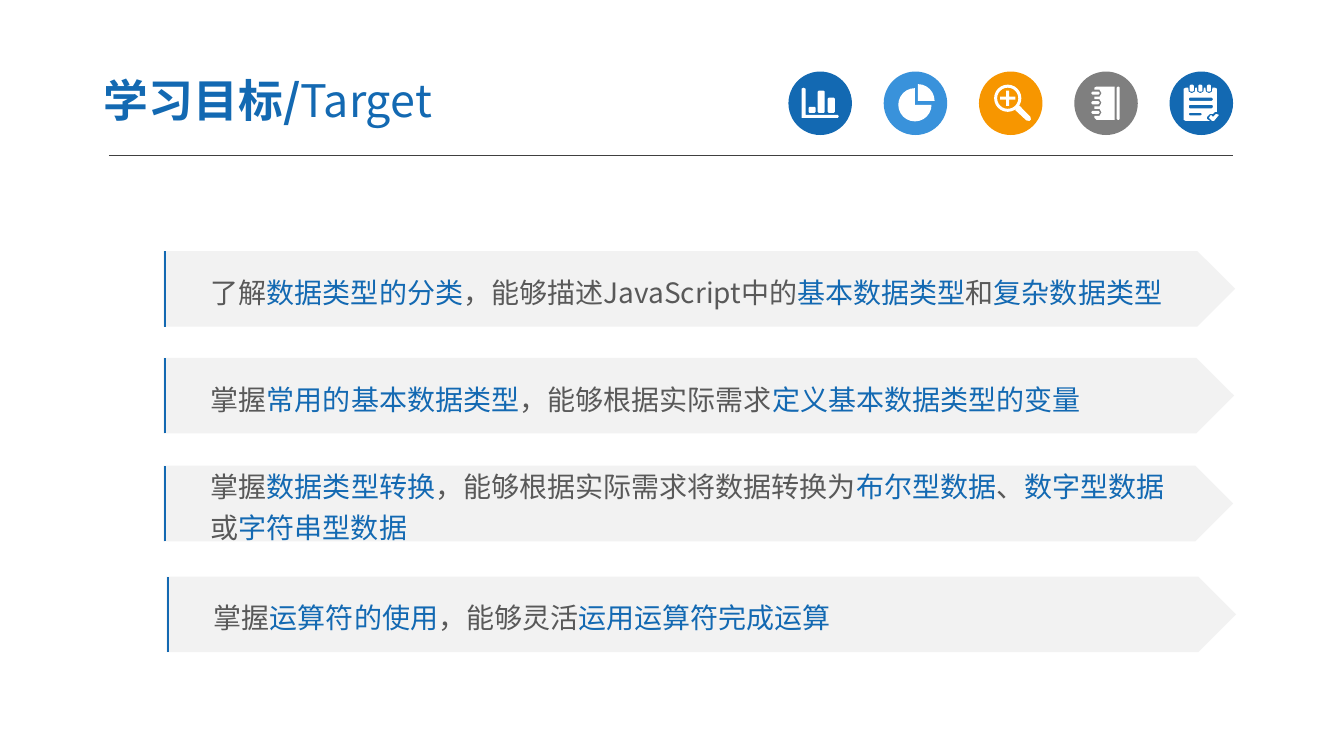
from math import cos, radians, sin

from lxml import etree
from pptx import Presentation
from pptx.dml.color import RGBColor
from pptx.enum.shapes import MSO_CONNECTOR, MSO_SHAPE as Shape
from pptx.enum.text import MSO_ANCHOR, PP_ALIGN
from pptx.oxml.ns import qn
from pptx.util import Inches, Pt

FONT = "Noto Sans CJK SC"
COLORS = {"blue": "1369B2", "sky": "3992DB", "orange": "F79600", "gray": "7F7F7F",
          "white": "FFFFFF", "bar": "F2F2F2", "text": "595959", "rule": "404040"}
GRID = 63  # columns and rows across one icon disc

# Goals: left, top, width, paragraphs whose runs alternate gray and blue
GOALS = [
    (1.62, 2.49, 10.63, [["了解", "数据类型的分类", "，能够描述JavaScript中的", "基本数据类型", "和",
                          "复杂数据类型"]]),
    (1.62, 3.55, 10.62, [["掌握", "常用的基本数据类型", "，能够根据实际需求",
                          "定义基本数据类型的变量"]]),
    (1.62, 4.62, 10.61, [["掌握", "数据类型转换", "，能够根据实际需求将数据转换为", "布尔型数据", "、",
                          "数字型数据"], ["或", "字符串型数据"]]),
    (1.65, 5.72, 10.61, [["掌握", "运算符的使用", "，能够灵活", "运用运算符完成运算"]]),
]


def block(x, y, w, h, cut=1):
    """Rectangle with cut corners."""
    r, b = x + w, y + h
    return [(x + cut, y), (r - cut, y), (r, y + cut), (r, b - cut),
            (r - cut, b), (x + cut, b), (x, b - cut), (x, y + cut)]


def arc(cx, cy, radius, start=0, end=345):
    return [(cx + radius * cos(radians(a)), cy + radius * sin(radians(a)))
            for a in range(start, end + 1, 15)]


def chart_icon():
    axes = [(13, 17), (15, 16), (17, 17), (17, 43), (49, 43), (50, 44.5), (49, 46), (13, 46)]
    return [axes, block(20, 35, 7, 6), block(29, 19, 7, 22), block(39, 26, 7, 15)]


def pie_icon():
    return [[(31, 33)] + arc(31, 33, 16.5, 0, 270), [(34, 29)] + arc(34, 29, 16.5, 270, 360)]


def zoom_icon():
    plus = [(27, 19), (30, 19), (30, 25), (36, 25), (36, 28), (30, 28),
            (30, 34), (27, 34), (27, 28), (21, 28), (21, 25), (27, 25)]
    handle = [(40.3, 34), (51, 45), (51.5, 47.5), (50, 49), (47, 48.5), (36, 38.3)]
    return [arc(28.5, 26.5, 13.5), arc(28.5, 26.5, 10.5), plus, handle]


def notebook_icon():
    rings = (20, 29.5, 39)
    cover = [(22, 15), (40, 15), (40, 48), (22, 48), (20, 46)]
    for y in reversed(rings):
        cover += [(20, y + 5), (25, y + 5), (27, y + 1.5), (25, y - 2), (20, y - 2)]
    return [cover + [(20, 16)], block(42, 15, 3, 33)] + [block(17, y, 8, 3) for y in rings]


def notepad_icon():
    rings = (22, 30.5, 39)
    page = [(14, 17), (16, 16)]
    for x in rings:
        page += [(x - 3.5, 16), (x - 3, 20), (x, 21.5), (x + 3, 20), (x + 3.5, 16)]
    page += [(45, 16), (47, 17), (47, 40), (45, 40), (43, 42), (40, 42), (37, 45),
             (37, 47), (40, 49), (16, 49), (14, 48)]
    check = [(39, 46), (41, 43), (43, 45), (46, 42), (49, 43), (44, 49), (42, 49)]
    lines = [block(19, 26, 24, 3), block(19, 33, 24, 3.5), block(19, 41, 13, 2.5)]
    return [page, check] + lines + [block(x - 2, 13, 4, 7) for x in rings]


ICONS = [("blue", chart_icon()), ("sky", pie_icon()), ("orange", zoom_icon()),
         ("gray", notebook_icon()), ("blue", notepad_icon())]


def rgb(name):
    return RGBColor.from_string(COLORS[name])


def fill_plain(sp, color):
    sp.shadow.inherit = False
    sp.fill.solid()
    sp.fill.fore_color.rgb = rgb(color)
    sp.line.fill.background()


def add_filled(shapes, kind, x, y, w, h, color):
    sp = shapes.add_shape(kind, Inches(x), Inches(y), Inches(w), Inches(h))
    fill_plain(sp, color)
    return sp


def add_run(p, text, color, size, bold=False):
    r = p.add_run()
    r.text = text
    r.font.size, r.font.bold, r.font.name = Pt(size), bold, FONT
    r.font.color.rgb = rgb(color)
    etree.SubElement(r.font._element, qn("a:ea"), typeface=FONT)


def add_icon(slide, x, y, size, color, contours):
    """Disc with one white outline; inner contours are cut out."""
    group = slide.shapes.add_group_shape().shapes
    add_filled(group, Shape.OVAL, x, y, size, size, color)
    unit = size / GRID
    placed = [[(Inches(x + col * unit), Inches(y + row * unit)) for col, row in contour]
              for contour in contours]
    builder = group.build_freeform(*placed[0][0])
    for i, points in enumerate(placed):
        if i:
            builder.move_to(*points[0])
        builder.add_line_segments(points[1:], close=True)
    fill_plain(builder.convert_to_shape(), "white")


def add_header(slide, x, y, w, h):
    """Title on the left, row of icons on the right, rule below."""
    box = slide.shapes.add_textbox(Inches(x - 0.18), Inches(y + 0.01), Inches(5.22), Inches(0.72))
    tf = box.text_frame
    tf.word_wrap = True
    tf.vertical_anchor = MSO_ANCHOR.MIDDLE
    tf.margin_left = tf.margin_right = Inches(0.13)
    tf.margin_top = tf.margin_bottom = Inches(0.07)
    p = tf.paragraphs[0]
    add_run(p, "学习目标/", "blue", 32, True)
    add_run(p, "Target", "blue", 32)
    size, pitch = 0.63, 0.945
    first = x + w - size - pitch * (len(ICONS) - 1)
    for i, (color, contours) in enumerate(ICONS):
        add_icon(slide, first + i * pitch, y + 0.09, size, color, contours)
    rule = slide.shapes.add_connector(MSO_CONNECTOR.STRAIGHT, Inches(x), Inches(y + h),
                                      Inches(x + w), Inches(y + h))
    rule.line.color.rgb = rgb("rule")
    rule.line.width = Pt(0.75)
    etree.SubElement(rule._element.spPr, qn("a:effectLst"))


def add_edge(shapes, x, y, w, h):
    """Open outline: a stroke on the left side of its box."""
    builder = shapes.build_freeform(Inches(x), Inches(y + h))
    builder.add_line_segments([(Inches(x), Inches(y))], close=False)
    builder.move_to(Inches(x + w), Inches(y))
    sp = builder.convert_to_shape()
    sp.shadow.inherit = False
    sp.fill.background()
    sp.line.color.rgb = rgb("blue")
    sp.line.width = Pt(1.5)


def add_goal(slide, x, y, w, h, paragraphs):
    group = slide.shapes.add_group_shape().shapes
    sp = add_filled(group, Shape.PENTAGON, x, y, w, h, "bar")
    tf = sp.text_frame
    tf.word_wrap = True
    tf.vertical_anchor = MSO_ANCHOR.MIDDLE
    tf.margin_left = Inches(0.47)
    for i, runs in enumerate(paragraphs):
        p = tf.add_paragraph() if i else tf.paragraphs[0]
        p.alignment = PP_ALIGN.LEFT
        p.line_spacing = 1.2
        for j, text in enumerate(runs):
            add_run(p, text, "blue" if j % 2 else "text", 20)
    add_edge(group, x + 0.02, y, 0.16, h)


def main():
    prs = Presentation()
    prs.slide_width, prs.slide_height = Inches(13.33), Inches(7.5)
    slide = prs.slides.add_slide(prs.slide_layouts[6])
    add_header(slide, 1.08, 0.62, 11.15, 0.92)
    for x, y, w, paragraphs in GOALS:
        add_goal(slide, x, y, w, 0.75, paragraphs)
    prs.save("out.pptx")


if __name__ == "__main__":
    main()
